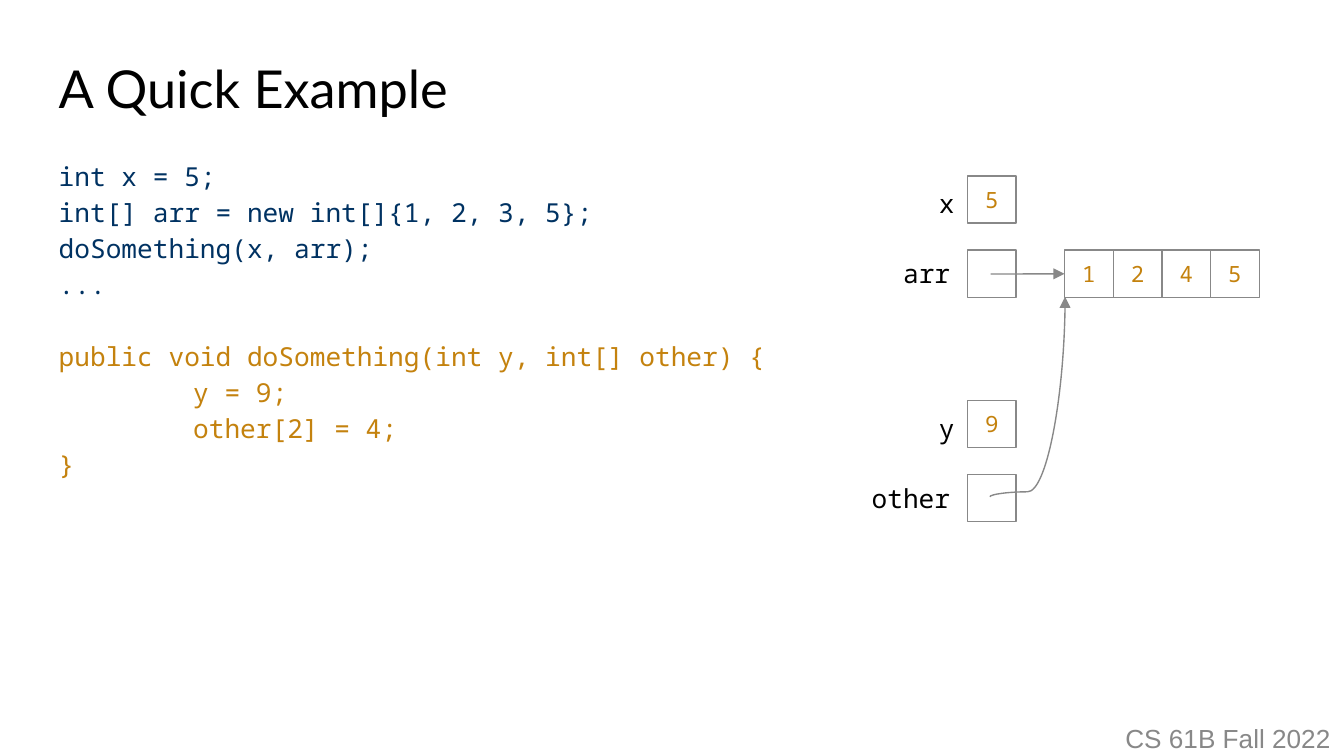
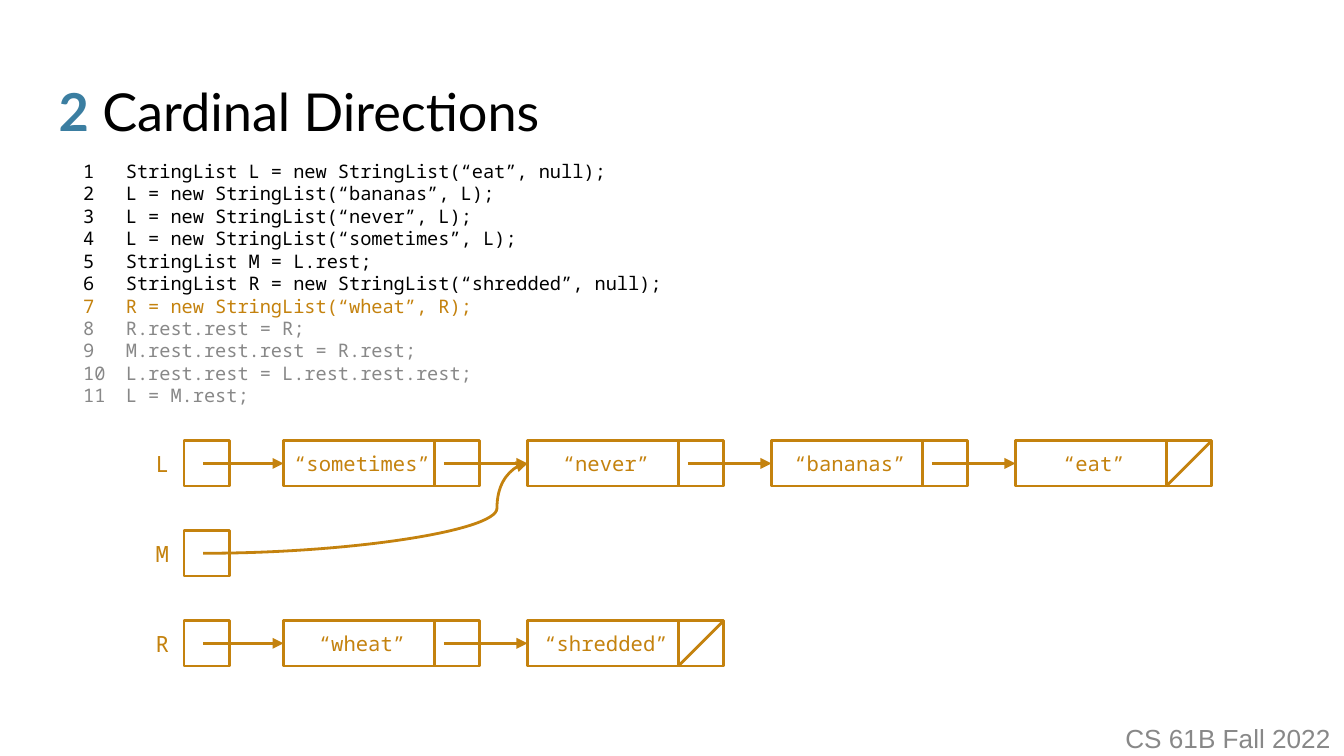
from lxml import etree
from pptx import Presentation
from pptx.dml.color import RGBColor
from pptx.enum.shapes import MSO_CONNECTOR, MSO_SHAPE
from pptx.enum.text import MSO_ANCHOR, MSO_AUTO_SIZE, PP_ALIGN
from pptx.oxml.ns import qn
from pptx.util import Cm, Pt

RECT = MSO_SHAPE.RECTANGLE
STRAIGHT, CURVE = MSO_CONNECTOR.STRAIGHT, MSO_CONNECTOR.CURVE
TOP, MIDDLE = MSO_ANCHOR.TOP, MSO_ANCHOR.MIDDLE
LEFT, CENTER, RIGHT = PP_ALIGN.LEFT, PP_ALIGN.CENTER, PP_ALIGN.RIGHT
FIXED, GROW = MSO_AUTO_SIZE.NONE, MSO_AUTO_SIZE.SHAPE_TO_FIT_TEXT

COLORS = {"white": "FFFFFF", "black": "000000", "gray": "888888",
          "navy": "003262", "blue": "3B7EA1", "gold": "C4820E"}
MONO, HEAD, FOOT = "Noto Sans Mono", "Lato", "Arial"
PAD = 0.25


def paint(name):
    return RGBColor.from_string(COLORS[name])


def add_run(para, text, size, color, font=MONO, bold=False):
    run = para.add_run()
    run.text = text
    run.font.size, run.font.name, run.font.bold = Pt(size), font, bold
    run.font.color.rgb = paint(color)


def set_frame(frame, pad=PAD, anchor=TOP, fit=FIXED):
    frame.word_wrap, frame.auto_size = True, fit
    frame.vertical_anchor = anchor
    frame.margin_left = frame.margin_right = Cm(pad)
    frame.margin_top = frame.margin_bottom = Cm(pad)


def place(shape, box):
    shape.left, shape.top, shape.width, shape.height = map(Cm, box)


def add_label(slide, box, text, size, color, align, font=MONO, **frame):
    label = slide.shapes.add_textbox(*map(Cm, box)).text_frame
    set_frame(label, **frame)
    label.paragraphs[0].alignment = align
    add_run(label.paragraphs[0], text, size, color, font)


def add_cell(slide, box, color, width, text="", size=12):
    cell = slide.shapes.add_shape(RECT, *map(Cm, box))
    cell.shadow.inherit = False
    cell.fill.solid()
    cell.fill.fore_color.rgb = paint("white")
    cell.line.color.rgb, cell.line.width = paint(color), Pt(width)
    if text:
        set_frame(cell.text_frame, 0, MIDDLE)
        para = cell.text_frame.paragraphs[0]
        para.alignment = CENTER
        add_run(para, text, size, "gold")
    return cell


def add_line(slide, ends, color, width, head=False, bend=None, turn=0):
    """Draw a line between two points; bend (in 1/1000 %) makes it a curve."""
    kind = STRAIGHT if bend is None else CURVE
    line = slide.shapes.add_connector(kind, *map(Cm, ends))
    line.line.color.rgb, line.line.width = paint(color), Pt(width)
    props = line.element.spPr
    if head:
        etree.SubElement(props.find(qn("a:ln")), qn("a:tailEnd"), type="triangle")
    etree.SubElement(props, qn("a:effectLst"))
    if bend is not None:
        geom = props.find(qn("a:prstGeom"))
        guides = geom.find(qn("a:avLst"))
        if guides is None:
            guides = etree.SubElement(geom, qn("a:avLst"))
        etree.SubElement(guides, qn("a:gd"), name="adj1", fmla=f"val {bend}")
    if turn:
        props.find(qn("a:xfrm")).set("rot", str(turn * 60000))
    return line


def add_page(prs, top, title):
    """Add a slide with its title runs (text, colour, bold) and the footer."""
    slide = prs.slides.add_slide(prs.slide_layouts[1])
    add_label(slide, (20.4, 13.61, 5, 0.69), "CS 61B Fall 2022", 14, "gray",
              RIGHT, FOOT, anchor=MIDDLE)
    head = slide.shapes.title
    place(head, (0.86, top, 23.67, 1.6))
    set_frame(head.text_frame)
    para = head.text_frame.paragraphs[0]
    para.alignment = LEFT
    for text, color, bold in title:
        add_run(para, text, 28, color, HEAD, bold)
    return slide


def add_code(slide, box, lines, size, pitch, count=False):
    """Fill the body with (text, colour, indent, gap before) lines."""
    body = slide.placeholders[1]
    place(body, box)
    frame = body.text_frame
    set_frame(frame)
    for i, (text, color, indent, gap) in enumerate(lines):
        para = frame.paragraphs[0] if i == 0 else frame.add_paragraph()
        para.alignment, para.line_spacing = LEFT, pitch
        para.space_before, para.space_after = Pt(gap), Pt(0)
        add_run(para, text, size, color)
        props = para._p.get_or_add_pPr()
        props.set("marL", str(Cm(indent)))
        props.set("indent", str(Cm(-0.81 if count else 0)))
        if count:
            tint = etree.SubElement(props, qn("a:buClr"))
            etree.SubElement(tint, qn("a:srgbClr"), val=COLORS[color])
            etree.SubElement(props, qn("a:buFont"), typeface=MONO)
            etree.SubElement(props, qn("a:buAutoNum"), type="arabicPlain")
        else:
            etree.SubElement(props, qn("a:buNone"))


def add_scope(slide, left, top, number, array):
    """Draw a number variable and, below it, an array variable."""
    name, value = number
    add_label(slide, (left - 0.81, top - 0.03, 0.81, 1.12), name, 14,
              "black", RIGHT, fit=GROW)
    add_cell(slide, (left, top, 0.91, 0.89), "gray", 0.75, value)
    name, width = array
    low = top + 1.4
    add_label(slide, (left - 0.08 - width, low - 0.11, width, 1.12), name, 14,
              "black", RIGHT, fit=GROW)
    add_cell(slide, (left, low, 0.91, 0.89), "gray", 0.75)


def add_chain(slide, left, top, name, words):
    """Draw a named pointer and its linked nodes; return the pointer's height."""
    side, mid = 0.86, top + 0.43
    add_label(slide, (left, top, side, side), name, 12, "gold", CENTER,
              pad=0, anchor=MIDDLE)
    start = left + 0.84
    cell = add_cell(slide, (start, top, side, side), "gold", 1.5)
    stub = start + 0.36
    for i, word in enumerate(words):
        x = left + 2.72 + i * 4.61
        node = add_cell(slide, (x, top, 2.97, side), "gold", 1.5, word, 11)
        tail = add_line(slide, (stub, mid, x - 1, mid), "gold", 1.5)
        tail.end_connect(cell, 3)
        arrow = add_line(slide, (x - 1, mid, x, mid), "gold", 1.5, True)
        arrow.begin_connect(cell, 3)
        arrow.end_connect(node, 1)
        x += 2.85
        cell = add_cell(slide, (x, top, side, side), "gold", 1.5)
        stub = x + 0.18
    if words:
        add_line(slide, (x, top + side, x + side, top), "gold", 1.5)
    return mid


def build_example(prs):
    slide = add_page(prs, 0.81, [("A Quick Example", "black", False)])
    add_code(slide, (0.86, 2.69, 14.53, 6.83), [
        ("int x = 5;", "navy", 0, 0),
        ("int[] arr = new int[]{1, 2, 3, 5};", "navy", 0, 0),
        ("doSomething(x, arr);", "navy", 0, 0),
        ("...", "navy", 0, 0),
        ("public void doSomething(int y, int[] other) {", "gold", 0, 19.3),
        ("y = 9;", "gold", 2.54, 0),
        ("other[2] = 4;", "gold", 2.54, 0),
        ("}", "gold", 0, 0),
    ], 14, 1.15)
    left, top = 18.29, 3.33
    add_scope(slide, left, top, ("x", "5"), ("arr", 1.68))
    add_scope(slide, left, top + 4.24, ("y", "9"), ("other", 2.29))
    start, low = left + 1.83, top + 1.4
    cells = [add_cell(slide, (start + i * 0.92, low, 0.92, 0.89), "gray", 0.75, n)
             for i, n in enumerate("1245")]
    arrow = add_line(slide, (left + 0.43, low + 0.45, start, low + 0.45),
                     "gray", 0.75, True)
    arrow.end_connect(cells[0], 1)
    add_line(slide, (17.53, 6.79, 21.31, 8.21), "gray", 0.75, True, 2500, 270)


def build_lists(prs):
    slide = add_page(prs, 1.24, [("2", "blue", True),
                                 (" Cardinal Directions", "black", False)])
    code = {
        "black": ["StringList L = new StringList(“eat”, null);",
                  "L = new StringList(“bananas”, L);",
                  "L = new StringList(“never”, L);",
                  "L = new StringList(“sometimes”, L);",
                  "StringList M = L.rest;",
                  "StringList R = new StringList(“shredded”, null);"],
        "gold": ["R = new StringList(“wheat”, R);"],
        "gray": ["R.rest.rest = R;", "M.rest.rest.rest = R.rest;",
                 "L.rest.rest = L.rest.rest.rest;", "L = M.rest;"],
    }
    lines = [(text, color, 1.27, 0) for color, part in code.items() for text in part]
    add_code(slide, (0.86, 2.77, 23.67, 5.36), lines, 10, 1.0, True)
    chains = [("L", ["“sometimes”", "“never”", "“bananas”", "“eat”"]),
              ("M", []),
              ("R", ["“wheat”", "“shredded”"])]
    left = 2.64
    mids = [add_chain(slide, left, 8.33 + i * 1.7, name, words)
            for i, (name, words) in enumerate(chains)]
    add_line(slide, (left + 1.2, mids[1], left + 7.33, mids[0]),
             "gold", 1.5, True, 90600)


def main():
    prs = Presentation()
    prs.slide_width, prs.slide_height = Cm(25.4), Cm(14.29)
    build_example(prs)
    build_lists(prs)
    prs.save("out.pptx")


if __name__ == "__main__":
    main()
